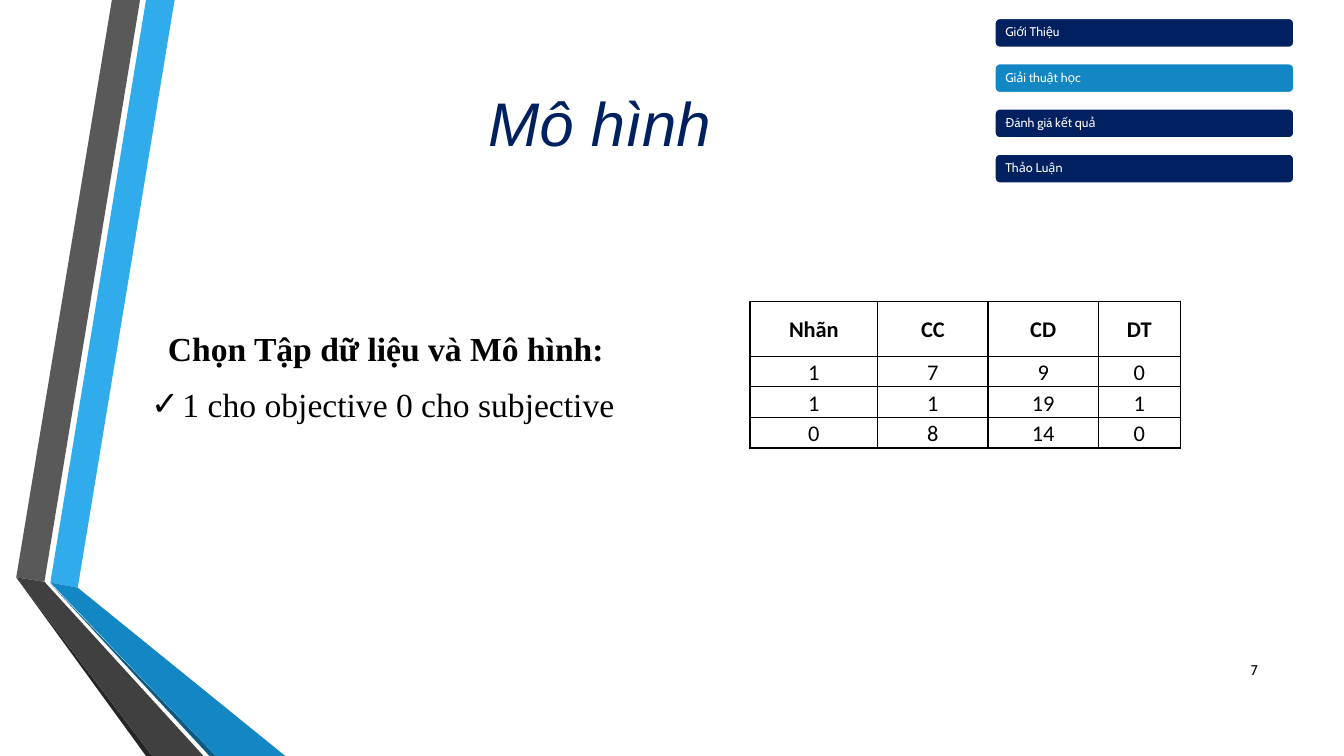
"""Builds the model slide with its label table and section list."""
import pptx
import pptx.util
import pptx.dml.color
import pptx.enum.shapes
import pptx.enum.text
import pptx.oxml
import pptx.oxml.ns

Cm = pptx.util.Cm
Pt = pptx.util.Pt
Align = pptx.enum.text.PP_ALIGN
Anchor = pptx.enum.text.MSO_ANCHOR
NAVY, BLUE, WHITE, BLACK = "002060", "1287C3", "FFFFFF", "000000"


def color(code):
    return pptx.dml.color.RGBColor.from_string(code)


def write(para, text, size=24, font="Times New Roman", ink=BLACK,
          bold=False, italic=False, align=Align.LEFT):
    para.alignment = align
    run = para.add_run()
    run.text = text
    run.font.size = Pt(size)
    run.font.name = font
    run.font.bold = bold
    run.font.italic = italic
    run.font.color.rgb = color(ink)


deck = pptx.Presentation()
deck.slide_width, deck.slide_height = Cm(33.87), Cm(19.05)
slide = deck.slides.add_slide(deck.slide_layouts[6])
shapes = slide.shapes

bands = [
    ("30ACEC", [(1.27, 14.68), (1.96, 14.81), (4.4, 0), (3.68, 0)]),
    ("595959", [(3.53, 0), (2.82, 0), (0.41, 14.55), (1.12, 14.66)]),
    ("262626", [(0.41, 14.55), (3.68, 19.05), (3.84, 19.05)]),
    ("0C5A82", [(1.27, 14.71), (5.28, 19.05), (5.44, 19.05)]),
    (BLUE, [(1.27, 14.68), (5.44, 19.05), (7.19, 19.05), (1.96, 14.81)]),
    ("404040", [(5.13, 19.05), (1.12, 14.66), (0.41, 14.55), (3.84, 19.05)]),
]
for fill, spots in bands:
    spots = [(Cm(x), Cm(y)) for x, y in spots]
    pen = shapes.build_freeform(*spots[0])
    pen.add_line_segments(spots[1:], close=True)
    band = pen.convert_to_shape()
    band.shadow.inherit = False
    band.fill.solid()
    band.fill.fore_color.rgb = color(fill)
    band.line.fill.background()

body = shapes.add_textbox(Cm(3.56), Cm(8.15), Cm(13.79), Cm(4.6)).text_frame
body.word_wrap = True
head = body.paragraphs[0]
point = body.add_paragraph()
write(head, "Chọn Tập dữ liệu và Mô hình:", bold=True)
write(point, "1 cho objective 0 cho subjective")
for para in (head, point):
    para.space_before, para.space_after = Pt(4.8), Pt(6)
head._p.get_or_add_pPr().set("indent", str(Cm(0.42)))
props = point._p.get_or_add_pPr()
props.set("marL", str(Cm(0.79)))
props.set("indent", str(-Cm(0.79)))
space = pptx.oxml.ns.nsdecls("a")
for part in (f'<a:buClr {space}><a:srgbClr val="{BLACK}"/></a:buClr>',
             f'<a:buFont {space} typeface="Arial"/>',
             f'<a:buChar {space} char="✓"/>'):
    props.append(pptx.oxml.parse_xml(part))

title = shapes.add_textbox(Cm(1.19), Cm(0.64), Cm(27.84), Cm(4.88)).text_frame
title.word_wrap = True
title.vertical_anchor = Anchor.MIDDLE
write(title.paragraphs[0], "Mô hình", size=44, font="Arial", ink=NAVY,
      italic=True, align=Align.CENTER)

page = shapes.add_textbox(Cm(30.43), Cm(16.41), Cm(1.52), Cm(0.94)).text_frame
page.word_wrap = True
page.vertical_anchor = Anchor.MIDDLE
write(page.paragraphs[0], "7", size=10, font="Cabin", align=Align.RIGHT)

topics = ["Giới Thiệu", "Giải thuật học", "Đánh giá kết quả", "Thảo Luận"]
for i, topic in enumerate(topics):
    tab = shapes.add_shape(pptx.enum.shapes.MSO_SHAPE.ROUNDED_RECTANGLE,
                           Cm(25.07), Cm(0.46 + 1.14 * i), Cm(7.54), Cm(0.74))
    tab.shadow.inherit = False
    tab.fill.solid()
    tab.fill.fore_color.rgb = color(BLUE if topic == "Giải thuật học" else NAVY)
    tab.line.color.rgb = color(WHITE)
    tab.line.width = Pt(1.25)
    frame = tab.text_frame
    frame.word_wrap = True
    frame.vertical_anchor = Anchor.MIDDLE
    frame.margin_left = frame.margin_right = Cm(0.23)
    frame.margin_top = frame.margin_bottom = 0
    frame.paragraphs[0].line_spacing = 0.9
    write(frame.paragraphs[0], topic, size=9, font="Cabin", ink=WHITE)

data = [["Nhãn", "CC", "CD", "DT"],
        ["1", "7", "9", "0"],
        ["1", "1", "19", "1"],
        ["0", "8", "14", "0"]]
widths = [3.22, 2.78, 2.78, 2.07]
heights = [1.39, 0.77, 0.77, 0.77]
table = shapes.add_table(4, 4, Cm(18.9), Cm(7.59), Cm(sum(widths)),
                         Cm(sum(heights))).table
for col, width in zip(table.columns, widths):
    col.width = Cm(width)
for r, (row, height) in enumerate(zip(table.rows, heights)):
    row.height = Cm(height)
    for cell, text in zip(row.cells, data[r]):
        cell.vertical_anchor = Anchor.BOTTOM if r else Anchor.MIDDLE
        cell.margin_left = cell.margin_right = cell.margin_top = Cm(0.03)
        cell.margin_bottom = 0
        write(cell.text_frame.paragraphs[0], text, size=16, font="Calibri",
              bold=r == 0, align=Align.CENTER)
        for side in "LRTB":
            cell._tc.get_or_add_tcPr().append(pptx.oxml.parse_xml(
                f'<a:ln{side} {space} w="{Pt(1)}"><a:solidFill>'
                f'<a:srgbClr val="{BLACK}"/></a:solidFill></a:ln{side}>'))
        cell.fill.background()

deck.save("out.pptx")
